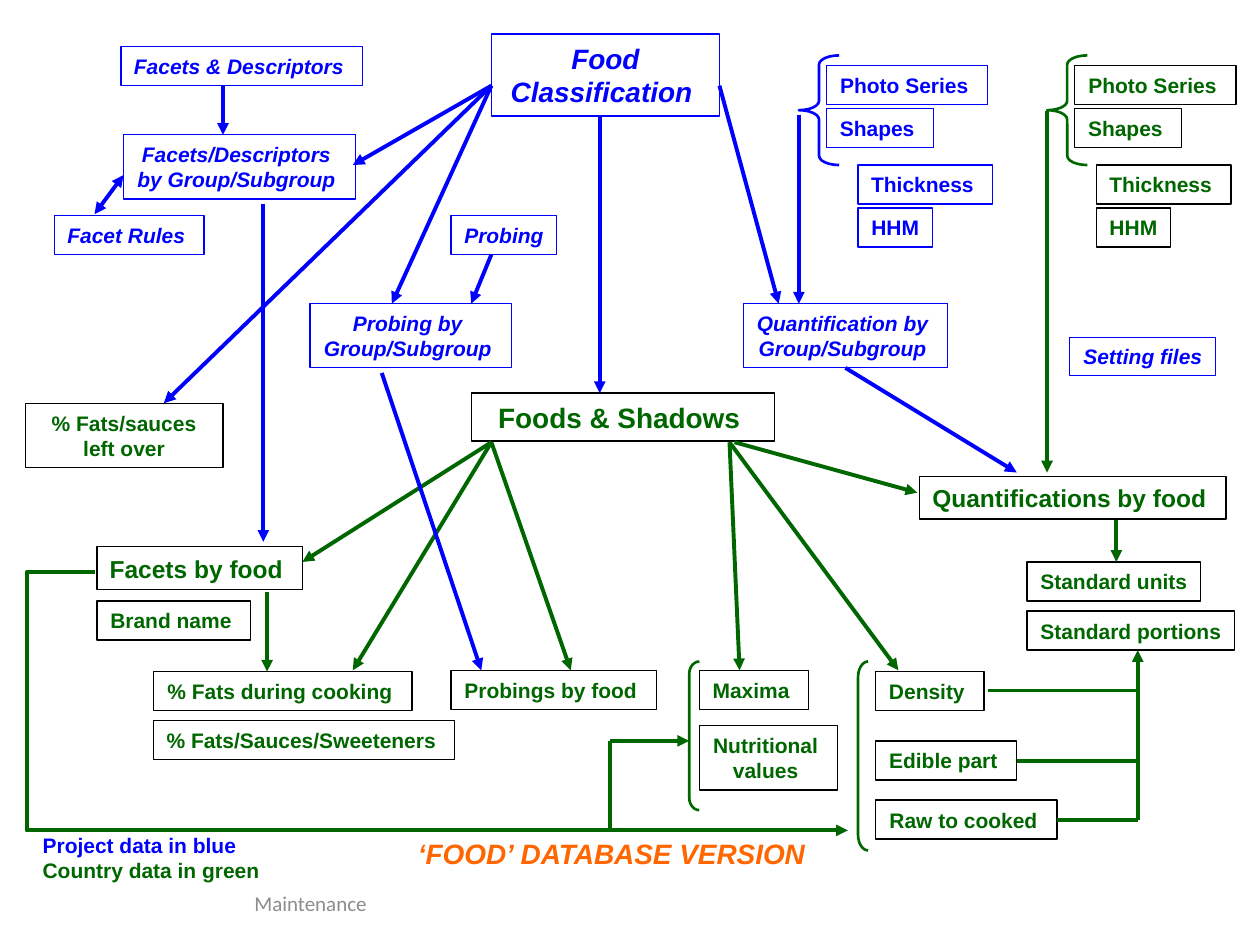
from lxml.etree import SubElement
from pptx import Presentation
from pptx.dml.color import RGBColor
from pptx.enum.shapes import MSO_CONNECTOR as CONN, MSO_SHAPE as SHAPE
from pptx.enum.text import MSO_ANCHOR as ANCHOR, MSO_AUTO_SIZE as AUTO, PP_ALIGN as ALIGN
from pptx.oxml.ns import qn
from pptx.util import Inches, Pt

BLUE = RGBColor(0x00, 0x00, 0xFF)
GREEN = RGBColor(0x00, 0x66, 0x00)
ORANGE = RGBColor(0xFF, 0x66, 0x00)
GREY = RGBColor(0x8C, 0x8C, 0x8C)
BLACK = RGBColor(0x00, 0x00, 0x00)

PROJECT_BOXES = [
    ("Facets & Descriptors ", 0.96, 0.37, 1.92, 0.31),
    ("Facets/Descriptors \nby Group/Subgroup ", 0.98, 1.07, 1.84, 0.51),
    ("Facet Rules ", 0.43, 1.71, 1.19, 0.31),
    ("Probing", 3.58, 1.71, 0.84, 0.31),
    ("Quantification by \nGroup/Subgroup ", 5.9, 2.41, 1.62, 0.51),
    ("Probing by \nGroup/Subgroup ", 2.46, 2.41, 1.6, 0.51),
    ("Setting files", 8.49, 2.68, 1.16, 0.3),
]
COUNTRY_BOXES = [
    ("Brand name ", 0.77, 4.77, 1.22, 0.31),
    ("Standard units", 8.15, 4.46, 1.38, 0.31),
    ("Standard portions", 8.15, 4.85, 1.65, 0.31),
    ("Density ", 6.95, 5.33, 0.86, 0.31),
    ("Edible part ", 6.95, 5.88, 1.12, 0.31),
    ("Raw to cooked ", 6.95, 6.35, 1.44, 0.31),
    ("% Fats during cooking ", 1.22, 5.33, 2.05, 0.31),
    ("% Fats/Sauces/Sweeteners ", 1.22, 5.72, 2.39, 0.31),
    ("Probings by food ", 3.58, 5.32, 1.63, 0.31),
    ("Maxima ", 5.55, 5.32, 0.87, 0.31),
    ("Nutritional \nvalues ", 5.55, 5.76, 1.1, 0.51),
]
MAIN_BOXES = [
    ("Foods & Shadows ", 3.74, 3.12, 2.41, 0.38, 16),
    ("Facets by food ", 0.77, 4.34, 1.63, 0.34, 14),
    ("Quantifications by food ", 7.3, 3.78, 2.43, 0.34, 14),
]
PROJECT_ARROWS = [
    (3.9, 0.68, 2.8, 1.31), (3.9, 0.68, 3.11, 2.41), (3.9, 0.68, 1.3, 3.2),
    (5.71, 0.68, 6.18, 2.41), (6.34, 0.91, 6.34, 2.41), (4.76, 0.91, 4.76, 3.12),
    (2.09, 1.62, 2.09, 4.3), (1.77, 0.68, 1.77, 1.07), (3.03, 2.96, 3.82, 5.32),
    (3.9, 2.02, 3.74, 2.41), (6.71, 2.92, 8.07, 3.75),
]
COUNTRY_ARROWS = [
    (8.31, 0.88, 8.31, 3.75), (3.9, 3.51, 2.4, 4.46), (3.9, 3.51, 2.8, 5.32),
    (3.9, 3.51, 4.53, 5.32), (5.79, 3.51, 7.13, 5.32), (5.83, 3.51, 7.28, 3.91),
    (5.79, 3.51, 5.87, 5.32), (4.84, 5.88, 5.47, 5.88), (2.12, 4.7, 2.12, 5.33),
    (8.86, 4.13, 8.86, 4.46), (9.03, 6.51, 9.03, 5.16),
]
COUNTRY_LINES = [
    (4.84, 6.59, 4.84, 5.88), (9.03, 6.04, 8.07, 6.04),
    (9.03, 6.51, 8.39, 6.51), (9.03, 5.48, 7.84, 5.48),
]


def write(tf, lines, size=12, bold=True, italic=False, align=ALIGN.CENTER,
          wrap=True, font="Arial"):
    tf.auto_size = AUTO.NONE
    tf.word_wrap = wrap
    tf.vertical_anchor = ANCHOR.MIDDLE
    tf.margin_left = tf.margin_right = Inches(0.1)
    tf.margin_top = tf.margin_bottom = Inches(0.05)
    for i, (text, color) in enumerate(lines):
        p = tf.paragraphs[0] if i == 0 else tf.add_paragraph()
        p.alignment = align
        r = p.add_run()
        r.text = text
        r.font.name = font
        r.font.size = Pt(size)
        r.font.bold = bold
        r.font.italic = italic
        r.font.color.rgb = color


def add_outline(s, kind, x, y, w, h, color, width):
    sp = s.shapes.add_shape(kind, Inches(x), Inches(y), Inches(w), Inches(h))
    sp.shadow.inherit = False
    sp.fill.background()
    sp.line.color.rgb = color
    sp.line.width = Pt(width)
    return sp


def add_box(s, text, x, y, w, h, color, size=12, italic=False, wrap=False):
    border = BLUE if color == BLUE else BLACK
    sp = add_outline(s, SHAPE.RECTANGLE, x, y, w, h, border, 0.75)
    lines = [(line, color) for line in text.split("\n")]
    write(sp.text_frame, lines, size, italic=italic, wrap=wrap)


def add_bracket(s, kind, x, y, w, h, color, *adj):
    sp = add_outline(s, kind, x, y, w, h, color, 1.5)
    for i, value in enumerate(adj):
        sp.adjustments[i] = value


def add_line(s, x1, y1, x2, y2, color, ends=("tailEnd",), kind=CONN.STRAIGHT):
    cn = s.shapes.add_connector(kind, Inches(x1), Inches(y1), Inches(x2), Inches(y2))
    cn.line.color.rgb = color
    cn.line.width = Pt(2.25)
    ln = cn.line._get_or_add_ln()
    for end in ends:
        SubElement(ln, qn(f"a:{end}"), type="triangle")
    SubElement(cn._element.spPr, qn("a:effectLst"))
    return cn


def add_elbow(s, x1, y1, x2, y2, color, bend):
    cn = add_line(s, x1, y1, x2, y2, color, kind=CONN.ELBOW)
    av = cn._element.spPr.find(qn("a:prstGeom")).get_or_add_avLst()
    SubElement(av, qn("a:gd"), name="adj1", fmla=f"val {round(bend * 100000)}")


def add_measures(s, brace_x, x, low_x, color):
    add_bracket(s, SHAPE.LEFT_BRACE, brace_x, 0.44, 0.32, 0.87, color, 0.23, 0.5)
    add_box(s, "Photo Series ", x, 0.52, 1.28, 0.31, color)
    add_box(s, "Shapes ", x, 0.86, 0.85, 0.31, color)
    add_box(s, "Thickness ", low_x, 1.31, 1.07, 0.31, color)
    add_box(s, "HHM", low_x, 1.65, 0.59, 0.31, color)


def add_title(s, text, x, y, w, h):
    sp = s.shapes.title
    sp.left, sp.top, sp.width, sp.height = Inches(x), Inches(y), Inches(w), Inches(h)
    write(sp.text_frame, [(text, ORANGE)], 16, italic=True)


def add_text(s, lines, x, y, w, h, **style):
    sp = s.shapes.add_textbox(Inches(x), Inches(y), Inches(w), Inches(h))
    write(sp.text_frame, lines, **style)


def main():
    prs = Presentation()
    prs.slide_width, prs.slide_height = Inches(10), Inches(7.5)
    s = prs.slides.add_slide(prs.slide_layouts[5])
    add_title(s, "‘FOOD’ DATABASE VERSION ", 3.19, 6.59, 3.39, 0.37)

    add_box(s, "Food Classification ", 3.9, 0.27, 1.81, 0.65, BLUE, 16, True, True)
    for box in PROJECT_BOXES:
        add_box(s, *box, BLUE, italic=True)
    for box in COUNTRY_BOXES:
        add_box(s, *box, GREEN)
    for *box, size in MAIN_BOXES:
        add_box(s, *box, GREEN, size)
    add_box(s, "% Fats/sauces left over", 0.2, 3.2, 1.57, 0.51, GREEN, wrap=True)
    add_measures(s, 6.34, 6.56, 6.81, BLUE)
    add_measures(s, 8.31, 8.53, 8.7, GREEN)
    add_bracket(s, SHAPE.LEFT_BRACKET, 5.47, 5.25, 0.08, 1.18, GREEN, 1.23)
    add_bracket(s, SHAPE.LEFT_BRACKET, 6.81, 5.25, 0.08, 1.5, GREEN, 1.56)

    for line in COUNTRY_ARROWS:
        add_line(s, *line, GREEN)
    for line in PROJECT_ARROWS:
        add_line(s, *line, BLUE)
    for line in COUNTRY_LINES:
        add_line(s, *line, GREEN, ends=())
    add_line(s, 0.98, 1.39, 0.75, 1.7, BLUE, ends=("headEnd", "tailEnd"))
    add_elbow(s, 0.75, 4.54, 6.73, 6.59, GREEN, -0.09)

    legend = [("Project data in blue", BLUE), ("Country data in green", GREEN)]
    add_text(s, legend, 0.24, 6.56, 1.93, 0.5, align=ALIGN.LEFT)
    add_text(s, [("Maintenance", GREY)], 0.33, 6.98, 4.27, 0.38, bold=False, font="Calibri")
    prs.save("out.pptx")


if __name__ == "__main__":
    main()
